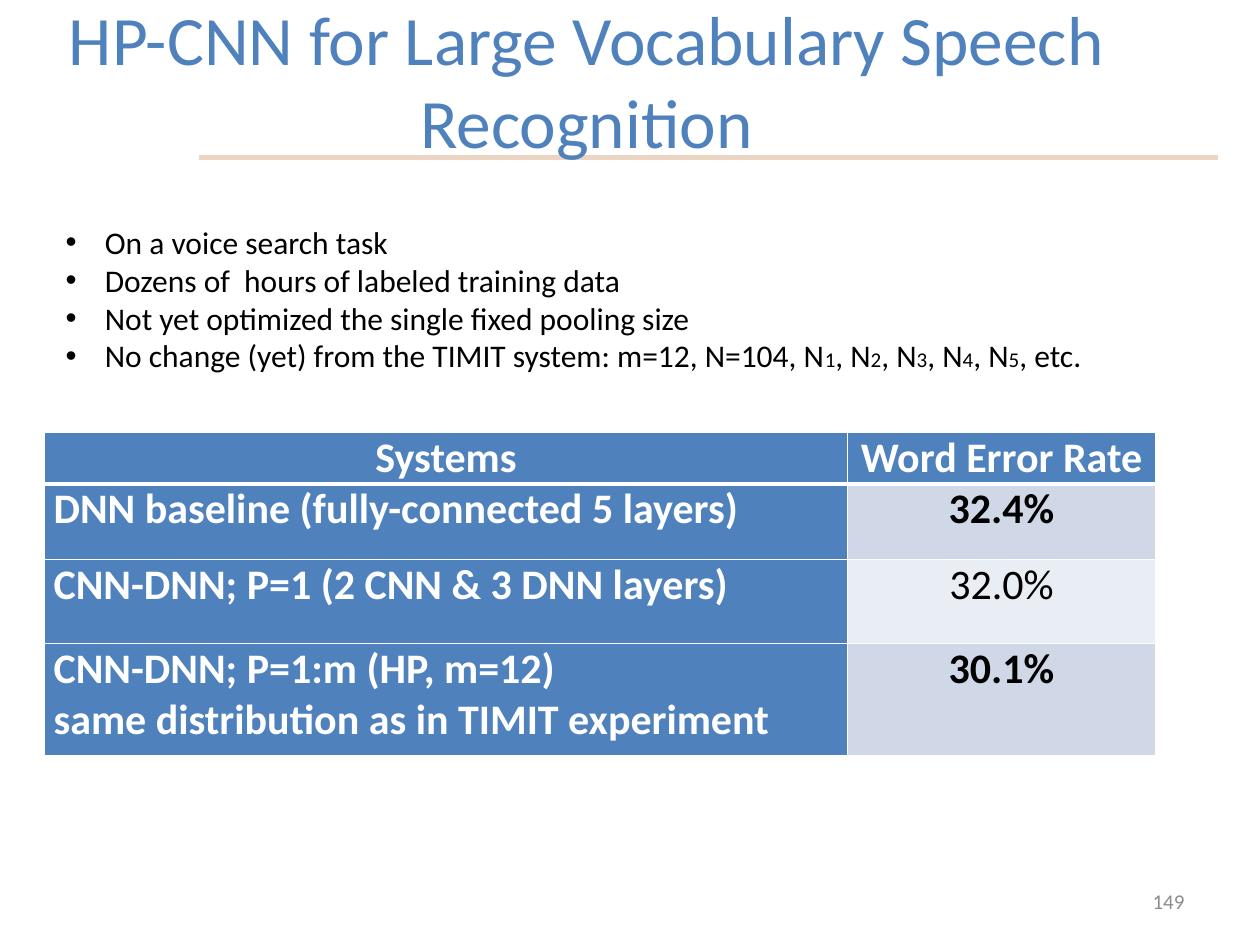
from lxml import etree
from pptx import Presentation
from pptx import util as u
from pptx.dml import color
from pptx.enum import shapes, text
from pptx.oxml import ns

COLORS = {"blue": "4F81BD", "rule": "ECD5C2", "white": "FFFFFF", "black": "000000",
          "gray": "8C8C8C", "band": "D0D8E8", "light": "E9EDF4"}
BULLETS = [
    ["On a voice search task"],
    ["Dozens of  hours of labeled training data"],
    ["Not yet optimized the single fixed pooling size"],
    ["No change (yet) from the TIMIT system: m=12, N=104, N",
     "1", ", N", "2", ", N", "3", ", N", "4", ", N", "5", ", etc."],
]
RESULTS = [
    ("Systems", "Word Error Rate"),
    ("DNN baseline (fully-connected 5 layers)", "32.4%"),
    ("CNN-DNN; P=1 (2 CNN & 3 DNN layers)", "32.0%"),
    ("CNN-DNN; P=1:m (HP, m=12)\nsame distribution as in TIMIT experiment", "30.1%"),
]
COLUMN_WIDTHS = [16.18, 6.22]
ROW_HEIGHTS = [0.64, 1.52, 1.7, 2.26]
CENTER, RIGHT, LEFT = text.PP_ALIGN.CENTER, text.PP_ALIGN.RIGHT, text.PP_ALIGN.LEFT


def rgb(name):
    return color.RGBColor.from_string(COLORS[name])


def apply(target, values):
    for name, value in values.items():
        setattr(target, name, value)


def style_font(font, size, shade, bold=False):
    apply(font, {"name": "Calibri", "size": u.Pt(size), "bold": bold})
    font.color.rgb = rgb(shade)


def place(shape, left, top, width, height):
    apply(shape, {"left": u.Cm(left), "top": u.Cm(top),
                  "width": u.Cm(width), "height": u.Cm(height)})


def add_rule(page):
    rule = page.shapes.add_connector(shapes.MSO_CONNECTOR.STRAIGHT,
                                     u.Cm(4.01), u.Cm(3.18), u.Cm(24.56), u.Cm(3.18))
    rule.line.color.rgb = rgb("rule")
    rule.line.width = u.Pt(3)
    element = rule._element
    etree.SubElement(element.spPr, ns.qn("a:effectLst"))
    element.getparent().insert(2, element)


def write_line(box, words, size, shade, align):
    frame = box.text_frame
    apply(frame, {"word_wrap": True, "auto_size": text.MSO_AUTO_SIZE.NONE,
                  "vertical_anchor": text.MSO_ANCHOR.MIDDLE})
    para = frame.paragraphs[0]
    para.alignment = align
    span = para.add_run()
    span.text = words
    style_font(span.font, size, shade)


def fill_bullets(body):
    frame = body.text_frame
    apply(frame, {"word_wrap": True, "auto_size": text.MSO_AUTO_SIZE.NONE,
                  "vertical_anchor": text.MSO_ANCHOR.TOP})
    for index, pieces in enumerate(BULLETS):
        para = frame.paragraphs[0] if index == 0 else frame.add_paragraph()
        properties = para._p.get_or_add_pPr()
        properties.set("marL", str(u.Cm(0.79)))
        properties.set("indent", str(-u.Cm(0.79)))
        etree.SubElement(properties, ns.qn("a:buFont"), typeface="Arial")
        etree.SubElement(properties, ns.qn("a:buChar"), char="•")
        apply(para, {"space_before": u.Pt(0), "alignment": LEFT})
        for piece in pieces:
            span = para.add_run()
            span.text = piece
            style_font(span.font, 12 if piece.isdigit() else 18, "black")


def set_borders(cell, widths):
    properties = cell._tc.get_or_add_tcPr()
    for side, width in widths.items():
        line = etree.SubElement(properties, ns.qn(f"a:ln{side}"), w=str(u.Pt(width)))
        fill = etree.SubElement(line, ns.qn("a:solidFill"))
        etree.SubElement(fill, ns.qn("a:srgbClr"), val=COLORS["white"])


def fill_cell(cell, words, row, column):
    blue = row == 0 or column == 0
    set_borders(cell, {"L": 1, "R": 1, "T": 3 if row == 1 else 1, "B": 3 if row == 0 else 1})
    cell.fill.solid()
    cell.fill.fore_color.rgb = rgb("blue" if blue else "band" if row % 2 else "light")
    apply(cell, {"margin_left": u.Cm(0.18), "margin_right": u.Cm(0.18),
                 "margin_top": 0, "margin_bottom": 0})
    cell.text_frame.text = words
    for para in cell.text_frame.paragraphs:
        para.alignment = CENTER if row == 0 or column == 1 else LEFT
        for span in para.runs:
            style_font(span.font, 24, "white" if blue else "black", blue or row != 2)


def add_results(page):
    frame = page.shapes.add_table(len(RESULTS), len(COLUMN_WIDTHS), u.Cm(0.9), u.Cm(8.72),
                                  u.Cm(sum(COLUMN_WIDTHS)), u.Cm(sum(ROW_HEIGHTS)))
    table = frame.table
    for column, width in zip(table.columns, COLUMN_WIDTHS):
        column.width = u.Cm(width)
    for row, height in zip(table.rows, ROW_HEIGHTS):
        row.height = u.Cm(height)
    for row, entries in enumerate(RESULTS):
        for column, words in enumerate(entries):
            fill_cell(table.cell(row, column), words, row, column)


def main():
    deck = Presentation()
    apply(deck, {"slide_width": u.Cm(25.4), "slide_height": u.Cm(19.05)})
    page = deck.slides.add_slide(deck.slide_layouts[1])
    title, body = page.shapes.title, page.placeholders[1]
    add_rule(page)
    place(title, -2.08, 0, 27.81, 3.18)
    write_line(title, "HP-CNN for Large Vocabulary Speech Recognition", 39.6, "blue", CENTER)
    number = page.shapes.add_textbox(u.Cm(18.2), u.Cm(17.66), u.Cm(5.93), u.Cm(1.01))
    write_line(number, "149", 12, "gray", RIGHT)
    add_results(page)
    place(body, 1.07, 4.37, 22.61, 3.33)
    fill_bullets(body)
    deck.save("out.pptx")


if __name__ == "__main__":
    main()
